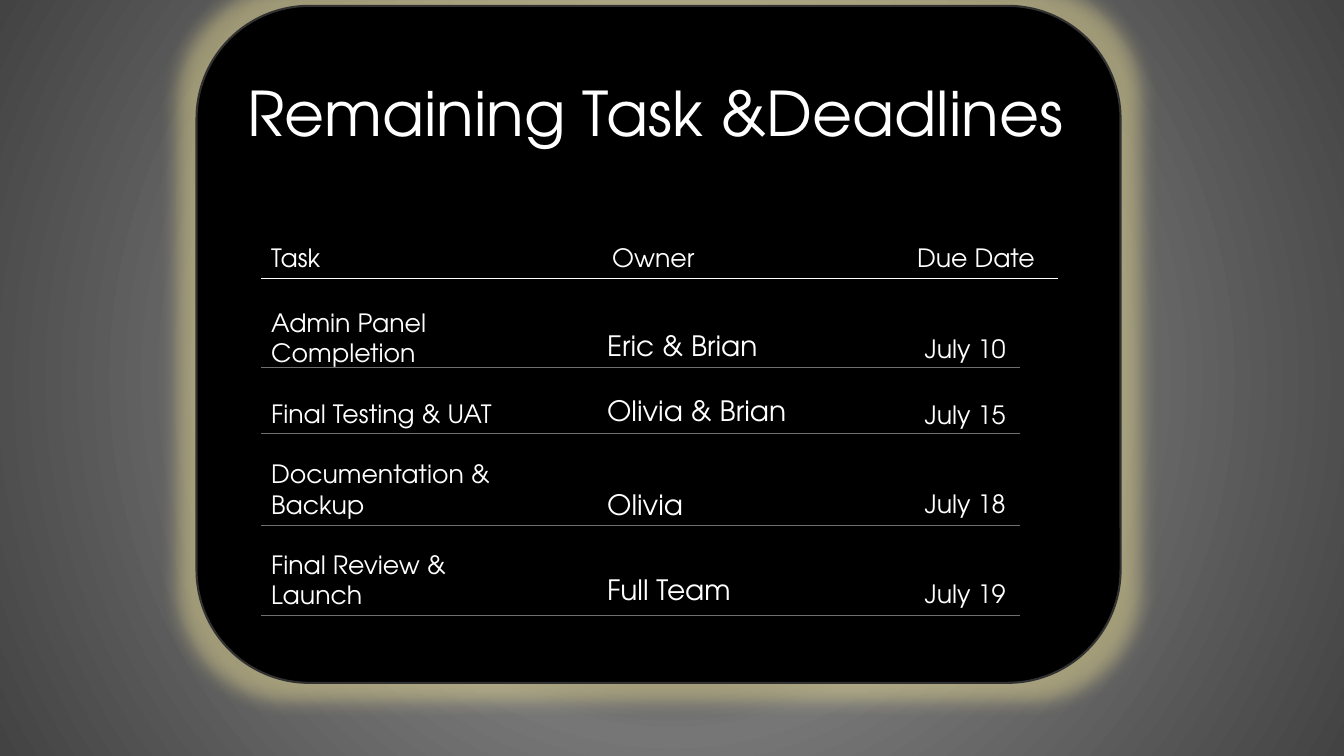
import dataclasses

import lxml.etree
import pptx
import pptx.dml.color
import pptx.enum.shapes
import pptx.enum.text
import pptx.oxml
import pptx.oxml.ns
import pptx.util

COLUMNS, ROWS = 160, 90
qn = pptx.oxml.ns.qn


@dataclasses.dataclass(frozen=True)
class Theme:
    font: str = "TeX Gyre Adventor"
    text: str = "FFFFFF"
    card: str = "000000"
    card_edge: str = "313131"
    glow: str = "FFF09A"
    header_rule: str = "FFFFFF"
    row_rule: str = "6F6F6F"
    backdrop: tuple = ((0, "000000"), (46, "767676"), (100, "434343"))
    title_size: float = 44
    body_size: float = 18
    owner_size: float = 20
    paragraph_gap: float = 21.6
    rule_width: float = 0.75
    edge_width: float = 1.5
    glow_radius: float = 25
    glow_opacity: int = 40


def rgb(value):
    return pptx.dml.color.RGBColor.from_string(value)


def add_element(parent, tag, **attributes):
    element = lxml.etree.SubElement(parent, qn(tag))
    for name, value in attributes.items():
        element.set(name, str(value))
    return element


def write(frame, text, *, font, size, color, align=None, gap=0, tabs=()):
    for index, line in enumerate(text.split("\n")):
        para = frame.add_paragraph() if index else frame.paragraphs[0]
        para.alignment = align
        if index and gap:
            para.space_before = pptx.util.Pt(gap)
        if tabs:
            stops = add_element(para._p.get_or_add_pPr(), "a:tabLst")
            for stop in tabs:
                add_element(stops, "a:tab", pos=stop, algn="l")
        span = para.add_run()
        span.text = line
        span.font.name = font
        span.font.size = pptx.util.Pt(size)
        span.font.color.rgb = rgb(color)


class Composer:
    def __init__(self, deck, theme):
        self.theme = theme
        self.page = deck.slides.add_slide(deck.slide_layouts[6])
        self.column = deck.slide_width / COLUMNS
        self.row = deck.slide_height / ROWS

    def across(self, columns):
        return round(columns * self.column)

    def down(self, rows):
        return round(rows * self.row)

    def area(self, left, top, width, height):
        return self.across(left), self.down(top), self.across(width), self.down(height)

    def backdrop(self):
        self.page.background.fill.gradient()
        gradient = next(self.page.element.iter(qn("a:gradFill")))
        for child in list(gradient):
            gradient.remove(child)
        stops = add_element(gradient, "a:gsLst")
        for position, color in self.theme.backdrop:
            stop = add_element(stops, "a:gs", pos=position * 1000)
            add_element(stop, "a:srgbClr", val=color)
        shade = add_element(gradient, "a:path", path="circle")
        add_element(shade, "a:fillToRect", l=50000, t=50000, r=50000, b=50000)

    def card(self, *place):
        theme = self.theme
        kind = pptx.enum.shapes.MSO_SHAPE.ROUNDED_RECTANGLE
        shape = self.page.shapes.add_shape(kind, *self.area(*place))
        shape.fill.solid()
        shape.fill.fore_color.rgb = rgb(theme.card)
        shape.line.color.rgb = rgb(theme.card_edge)
        shape.line.width = pptx.util.Pt(theme.edge_width)
        shape.shadow.inherit = False
        effects = next(shape.element.iter(qn("a:effectLst")))
        glow = add_element(effects, "a:glow", rad=pptx.util.Pt(theme.glow_radius))
        color = add_element(glow, "a:srgbClr", val=theme.glow)
        add_element(color, "a:alpha", val=theme.glow_opacity * 1000)

    def text(self, text, *place, size=None, tabs=(), **style):
        box = self.page.shapes.add_textbox(*self.area(*place))
        frame = box.text_frame
        frame.word_wrap = True
        frame.auto_size = pptx.enum.text.MSO_AUTO_SIZE.SHAPE_TO_FIT_TEXT
        write(frame, text, font=self.theme.font, color=self.theme.text,
              size=size or self.theme.body_size,
              tabs=[self.across(stop) for stop in tabs], **style)

    def rule(self, left, right, level, color):
        kind = pptx.enum.shapes.MSO_CONNECTOR.STRAIGHT
        line = self.page.shapes.add_connector(
            kind, self.across(left), self.down(level),
            self.across(right), self.down(level))
        line.line.color.rgb = rgb(color)
        line.line.width = pptx.util.Pt(self.theme.rule_width)
        add_element(line.element.spPr, "a:effectLst")


TASK_LEFT, OWNER_LEFT, DATE_LEFT = 31.1, 71.1, 108.9
HEADER_RIGHT, ROW_RIGHT = 125.9, 121.4
SCHEDULE = [
    ("Admin Panel Completion", "Eric & Brian", 38.5, 27.7, "July 10", 39.1, 15.4, 43.7),
    ("Final Testing & UAT", "Olivia & Brian", 46.3, 27.7, "July 15", 46.9, 12.5, 51.6),
    ("Documentation & Backup", "Olivia", 57.4, 29, "July 18", 57.6, 14.3, 62.6),
    ("Final Review & Launch", "Full Team", 67.6, 18.1, "July 19", 68.2, 14.2, 73.3),
]


def main():
    deck = pptx.Presentation()
    deck.slide_width = pptx.util.Inches(13.33)
    deck.slide_height = pptx.util.Inches(7.5)
    theme = Theme()
    composer = Composer(deck, theme)

    composer.backdrop()
    composer.card(23.4, 0.7, 110, 80.6)
    composer.text("Remaining Task &Deadlines", 26.8, 8.3, 102.5, 10.1,
                  size=theme.title_size, align=pptx.enum.text.PP_ALIGN.CENTER)
    composer.text("Task\tOwner\tDue Date", TASK_LEFT, 28.3, 94.8, 4.8, tabs=(40.6, 76.9))
    composer.text("\n".join(entry[0] for entry in SCHEDULE), TASK_LEFT, 36, 30, 37.6,
                  gap=theme.paragraph_gap)
    composer.rule(TASK_LEFT, HEADER_RIGHT, 33.1, theme.header_rule)

    for task, owner, owner_top, owner_width, date, date_top, date_width, level in SCHEDULE:
        composer.text(owner, OWNER_LEFT, owner_top, owner_width, 5.3, size=theme.owner_size)
        composer.text(date, DATE_LEFT, date_top, date_width, 4.8)
        composer.rule(TASK_LEFT, ROW_RIGHT, level, theme.row_rule)

    deck.save("out.pptx")


if __name__ == "__main__":
    main()
